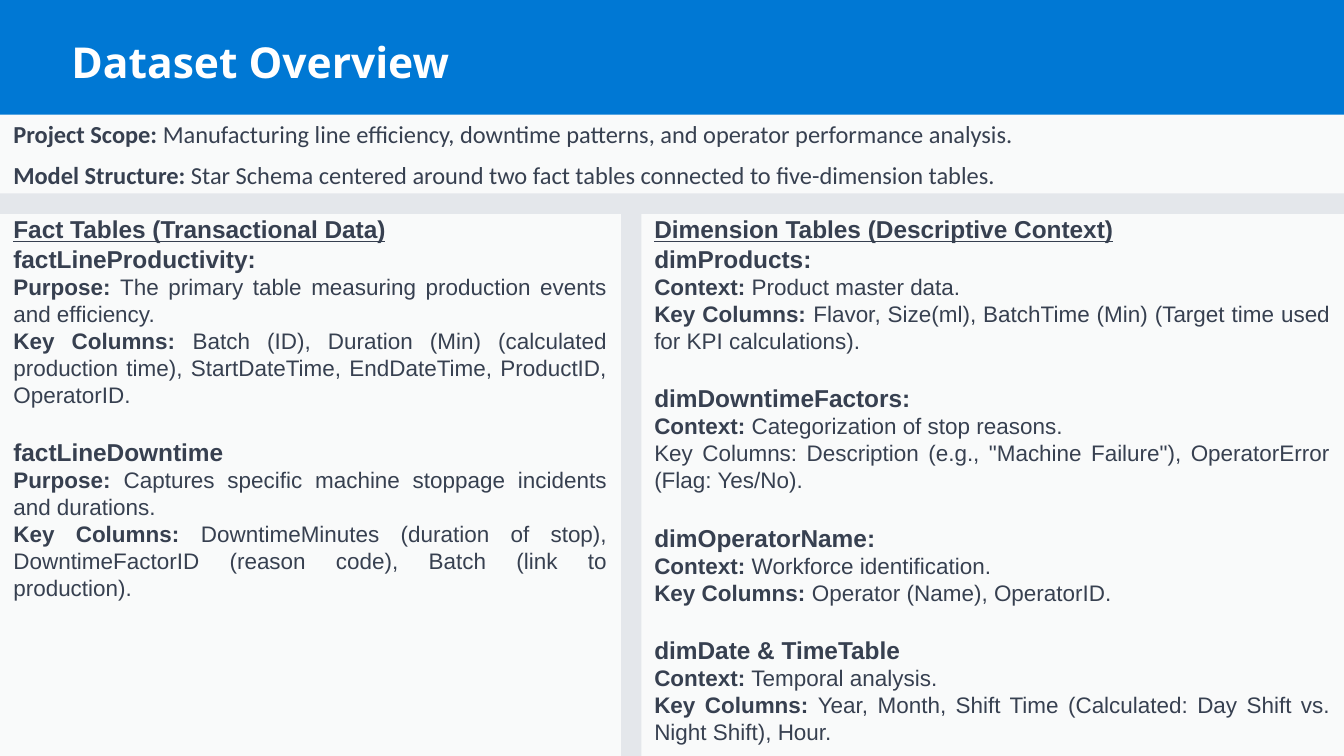
from lxml import etree
from pptx import Presentation
from pptx.dml.color import RGBColor
from pptx.enum.shapes import MSO_SHAPE
from pptx.enum.text import MSO_ANCHOR, MSO_AUTO_SIZE, PP_ALIGN
from pptx.oxml.ns import qn
from pptx.util import Inches, Pt

RECTANGLE = MSO_SHAPE.RECTANGLE
TOP = MSO_ANCHOR.TOP
NO_AUTOFIT = MSO_AUTO_SIZE.NONE
LEFT, JUSTIFY = PP_ALIGN.LEFT, PP_ALIGN.JUSTIFY
TWO_CONTENT = 3

SCOPE = [
    ("Project Scope:", " Manufacturing line efficiency, downtime patterns, and operator performance analysis."),
    ("Model Structure:", " Star Schema centered around two fact tables connected to five-dimension tables."),
]
FACTS = [
    ("factLineProductivity:", [
        ("Purpose:", " The primary table measuring production events and efficiency."),
        ("Key Columns:", " Batch (ID), Duration (Min) (calculated production time), "
                         "StartDateTime, EndDateTime, ProductID, OperatorID."),
    ]),
    ("factLineDowntime", [
        ("Purpose:", " Captures specific machine stoppage incidents and durations."),
        ("Key Columns:", " DowntimeMinutes (duration of stop), DowntimeFactorID (reason code), "
                         "Batch (link to production)."),
    ]),
]
DIMENSIONS = [
    ("dimProducts:", [
        ("Context:", " Product master data."),
        ("Key Columns:", " Flavor, Size(ml), BatchTime (Min) (Target time used for KPI calculations)."),
    ]),
    ("dimDowntimeFactors:", [
        ("Context:", " Categorization of stop reasons."),
        ("", 'Key Columns: Description (e.g., "Machine Failure"), OperatorError (Flag: Yes/No).'),
    ]),
    ("dimOperatorName:", [
        ("Context:", " Workforce identification."),
        ("Key Columns:", " Operator (Name), OperatorID."),
    ]),
    ("dimDate & TimeTable", [
        ("Context:", " Temporal analysis."),
        ("Key Columns:", " Year, Month, Shift Time (Calculated: Day Shift vs. Night Shift), Hour."),
    ]),
]


def color(hex_value):
    return RGBColor.from_string(hex_value)


class OverviewSlide:
    """Style and current slide; boxes are (left, top, width, height) in percent."""

    PAPER, BLUE, RULE, INK, WHITE = "F9FAFA", "0078D4", "E4E7EB", "374050", "FFFFFF"
    HEADING, DETAIL = 25, 23

    def __init__(self, deck):
        self.width, self.height = deck.slide_width, deck.slide_height
        self.slide = deck.slides.add_slide(deck.slide_layouts[TWO_CONTENT])
        background = self.slide.background.fill
        background.solid()
        background.fore_color.rgb = color(self.PAPER)

    def place(self, box):
        left, top, width, height = box
        return (round(self.width * left / 100), round(self.height * top / 100),
                round(self.width * width / 100), round(self.height * height / 100))

    def band(self, box, fill):
        band = self.slide.shapes.add_shape(RECTANGLE, *self.place(box))
        band.shadow.inherit = False
        band.fill.solid()
        band.fill.fore_color.rgb = color(fill)
        band.line.fill.background()
        # Behind the placeholders
        self.slide.shapes._spTree.insert(2, band._element)

    def frame(self, holder, box):
        holder.left, holder.top, holder.width, holder.height = self.place(box)
        frame = holder.text_frame
        frame.auto_size = NO_AUTOFIT
        frame.word_wrap = True
        frame.vertical_anchor = TOP
        frame.margin_left = frame.margin_right = frame.margin_bottom = 0
        frame.margin_top = Inches(0.02)
        return frame

    def paragraph(self, frame, gap=0, align=JUSTIFY):
        first = not frame.paragraphs[0].runs
        paragraph = frame.paragraphs[0] if first else frame.add_paragraph()
        properties = paragraph._p.get_or_add_pPr()
        properties.set("marL", "0")
        properties.set("indent", "0")
        etree.SubElement(properties, qn("a:buNone"))
        paragraph.alignment = align
        paragraph.line_spacing = 1.0
        paragraph.space_before = Pt(0 if first else gap)
        paragraph.space_after = Pt(0)
        return paragraph

    def run(self, paragraph, text, size, font="Arial", bold=False, underline=False, ink=INK):
        run = paragraph.add_run()
        run.text = text
        run.font.name, run.font.size = font, Pt(size)
        run.font.bold, run.font.underline = bold, underline
        run.font.color.rgb = color(ink)

    def labelled(self, paragraph, label, text, size, font="Arial"):
        if label:
            self.run(paragraph, label, size, font, bold=True)
        self.run(paragraph, text, size, font)

    def title(self, text, box):
        frame = self.frame(self.slide.shapes.title, box)
        self.run(self.paragraph(frame, align=LEFT), text, 43.6, "Open Sans", bold=True, ink=self.WHITE)

    def summary(self, entries, box):
        frame = self.frame(self.slide.shapes.add_textbox(*self.place(box)), box)
        for label, text in entries:
            self.labelled(self.paragraph(frame, gap=12.2), label, text, self.HEADING, "Calibri")

    def table_notes(self, index, heading, tables, box):
        frame = self.frame(self.slide.placeholders[index], box)
        self.run(self.paragraph(frame), heading, self.HEADING, bold=True, underline=True)
        for number, (name, details) in enumerate(tables):
            name_line = self.paragraph(frame, gap=30 if number else 0)
            self.run(name_line, name, self.HEADING, bold=True)
            for label, text in details:
                self.labelled(self.paragraph(frame), label, text, self.DETAIL)


def main():
    deck = Presentation()
    deck.slide_width, deck.slide_height = Inches(19.11), Inches(10.75)
    overview = OverviewSlide(deck)

    # Header and dividers
    overview.band((0, 0, 100, 15.16), overview.BLUE)
    overview.band((0, 25.58, 100, 2.7), overview.RULE)
    overview.band((46.21, 28.28, 1.52, 71.72), overview.RULE)

    # Title and project summary
    overview.title("Dataset Overview", (5.32, 4.56, 30, 7.1))
    overview.summary(SCOPE, (0.99, 15.53, 98.01, 9.58))

    # Fact and dimension tables
    overview.table_notes(1, "Fact Tables (Transactional Data)", FACTS, (0.99, 28.19, 44.22, 51.8))
    overview.table_notes(2, "Dimension Tables (Descriptive Context)", DIMENSIONS, (48.68, 28.19, 50.34, 71.1))

    deck.save("out.pptx")


if __name__ == "__main__":
    main()
